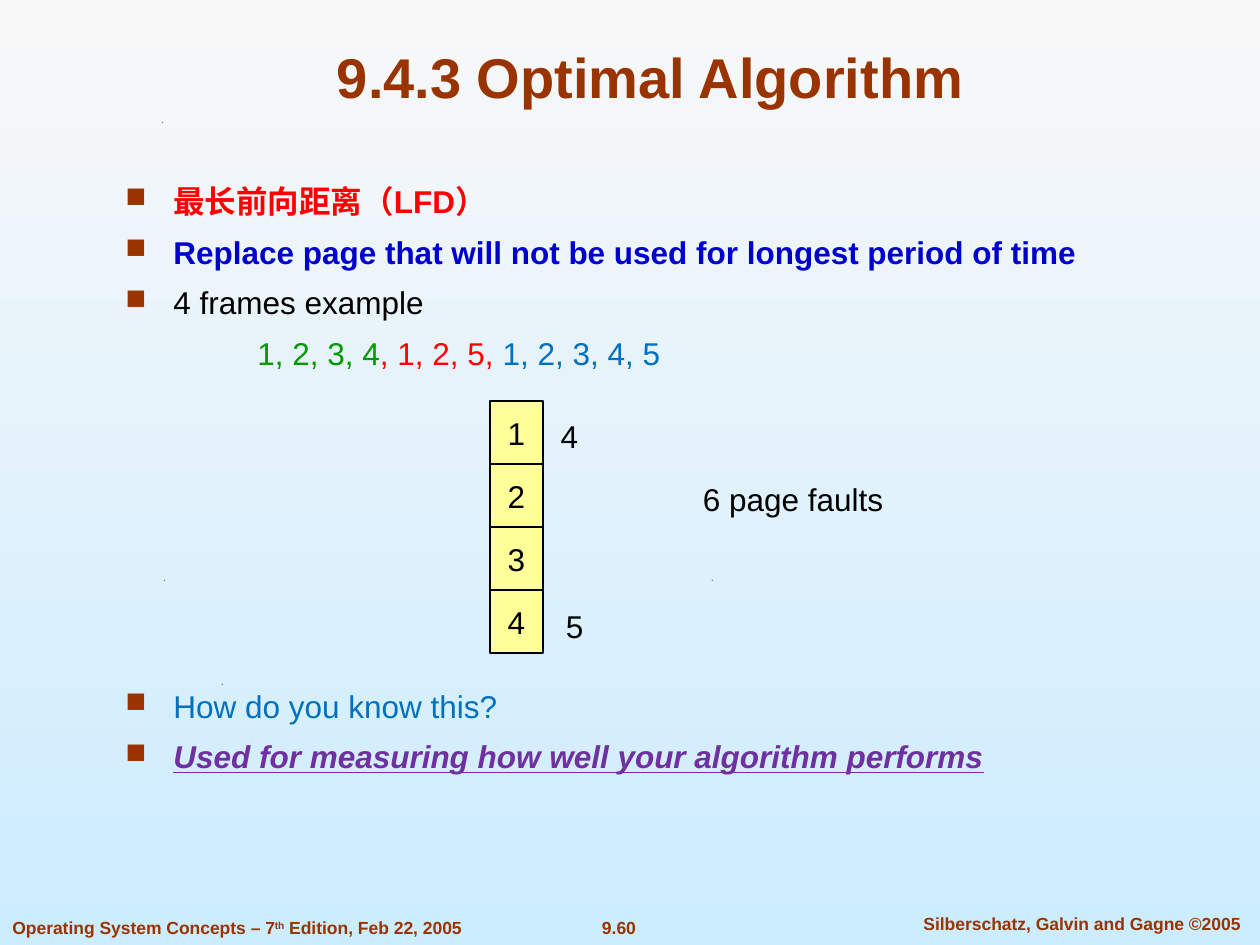
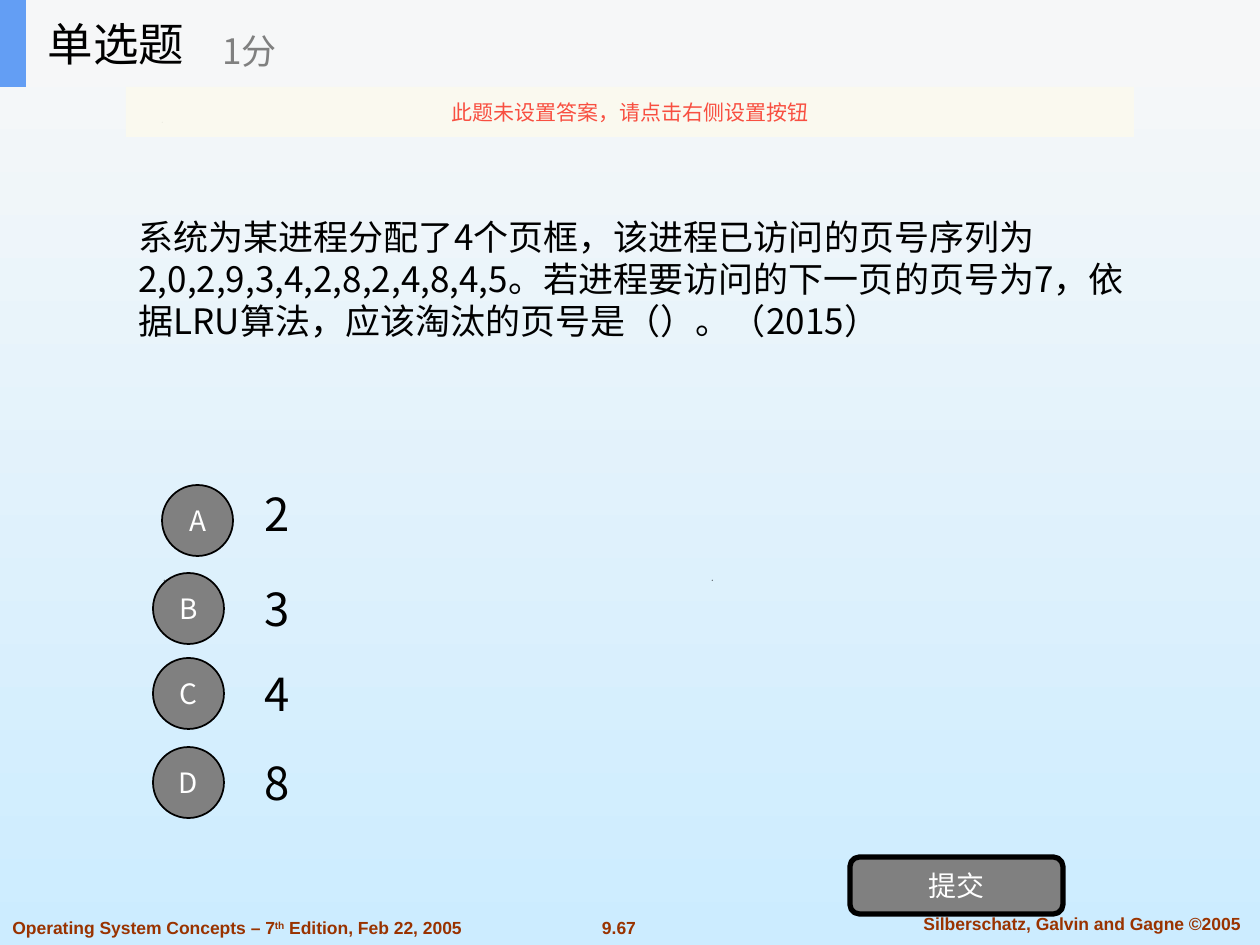
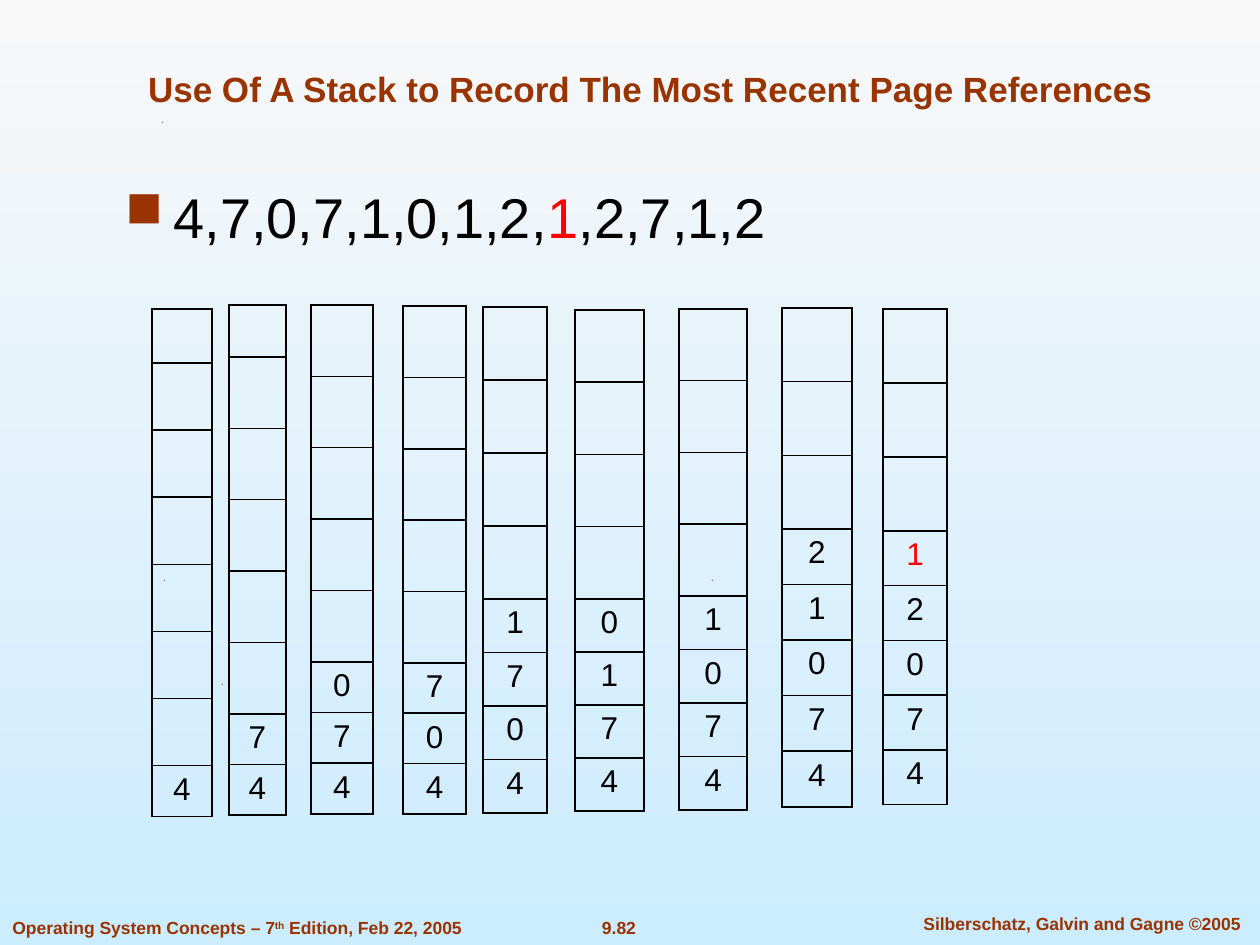
from dataclasses import dataclass, replace
from typing import NamedTuple

import pptx
import pptx.dml.color
import pptx.enum.dml
import pptx.enum.shapes
import pptx.enum.text
import pptx.oxml.ns
import pptx.util
from lxml import etree

PX_PER_INCH = 126
ALIGN = pptx.enum.text.PP_ALIGN
ANCHOR = pptx.enum.text.MSO_ANCHOR
SHAPE = pptx.enum.shapes.MSO_SHAPE
TITLE_ONLY = 5
qn = pptx.oxml.ns.qn


# --- Theme ---
@dataclass(frozen=True)
class Theme:
    sky_top: str = "F8F8F8"
    sky_bottom: str = "CCECFF"
    brown: str = "993300"
    black: str = "000000"
    white: str = "FFFFFF"
    red: str = "FF0000"
    navy: str = "0000CC"
    green: str = "009900"
    blue: str = "0070C0"
    purple: str = "7030A0"
    frame_yellow: str = "FFFF99"
    gray: str = "808080"
    header: str = "F6F7F8"
    header_tab: str = "639EF4"
    notice: str = "FBFAEF"
    notice_text: str = "F84F41"
    latin_font: str = "Arial"
    cjk_font: str = "Noto Sans CJK SC"
    footer_size: int = 10
    notice_size: int = 12
    button_size: int = 16
    body_size: int = 18
    question_size: int = 20
    quiz_size: int = 26
    title_size: int = 32


THEME = Theme()


class Box(NamedTuple):
    left: int
    top: int
    width: int
    height: int


@dataclass(frozen=True)
class Style:
    size: int = THEME.body_size
    color: str = THEME.black
    font: str = THEME.latin_font
    bold: bool = False
    italic: bool = False
    underline: bool = False


class Run(NamedTuple):
    text: str
    color: str | None = None
    baseline: int = 0


@dataclass(frozen=True)
class Line:
    runs: tuple[Run, ...]
    style: Style = Style()
    align: ALIGN = ALIGN.LEFT
    bullet: bool = False
    indent: int = 0
    space_before: float = 0


class Option(NamedTuple):
    letter: str
    answer: str
    badge_left: int
    badge_top: int
    answer_top: int


class Stack(NamedTuple):
    left: int
    top: int
    width: int
    filled_top: int
    bottom: int
    pages: str
    first_row: int = 0


TITLE = Style(THEME.title_size, THEME.brown, bold=True)
FOOTER = Style(THEME.footer_size, THEME.brown, bold=True)
QUIZ = Style(THEME.quiz_size, font=THEME.cjk_font)
BUTTON = Style(THEME.button_size, THEME.white, THEME.cjk_font)
TITLE_BOX = Box(94, 32, 1113, 84)
SPECKS = ((1, 222, 684), (1, 164, 580), (1, 712, 580), (1, 162, 122))


# --- Helpers ---
def px(length: float) -> int:
    return round(length * 914400 / PX_PER_INCH)


def emu(box: Box) -> tuple[int, ...]:
    return tuple(px(length) for length in box)


def rgb(color: str) -> pptx.dml.color.RGBColor:
    return pptx.dml.color.RGBColor.from_string(color)


def text_line(text: str, style: Style = Style(), align: ALIGN = ALIGN.LEFT) -> Line:
    return Line((Run(text),), style, align)


def bullet_line(*runs: Run, style: Style = Style(), space_before: float = 7.3) -> Line:
    return Line(runs, style, bullet=True, indent=48, space_before=space_before)


def add_bullet(properties, indent: int) -> None:
    properties.set("indent", str(-px(indent)))
    color = etree.SubElement(properties, qn("a:buClr"))
    etree.SubElement(color, qn("a:srgbClr"), val=THEME.brown)
    etree.SubElement(properties, qn("a:buSzPct"), val="90000")
    etree.SubElement(properties, qn("a:buChar"), char="■")


def write_line(paragraph, line: Line) -> None:
    paragraph.alignment = line.align
    if line.space_before:
        paragraph.space_before = pptx.util.Pt(line.space_before)
    properties = paragraph._p.get_or_add_pPr()
    if line.indent:
        properties.set("marL", str(px(line.indent)))
    if line.bullet:
        add_bullet(properties, line.indent)
    font, style = paragraph.font, line.style
    font.name, font.size = style.font, pptx.util.Pt(style.size)
    font.bold, font.italic, font.underline = style.bold, style.italic, style.underline
    font.color.rgb = rgb(style.color)
    etree.SubElement(font._rPr, qn("a:ea"), typeface=THEME.cjk_font)
    for part in line.runs:
        run = paragraph.add_run()
        run.text = part.text
        if part.color:
            run.font.color.rgb = rgb(part.color)
        if part.baseline:
            run.font._rPr.set("baseline", str(part.baseline * 1000))


def write(frame, lines: list[Line], anchor: ANCHOR = ANCHOR.TOP, wrap: bool = True) -> None:
    frame.word_wrap = wrap
    frame.auto_size = pptx.enum.text.MSO_AUTO_SIZE.NONE
    frame.vertical_anchor = anchor
    for index, line in enumerate(lines):
        write_line(frame.add_paragraph() if index else frame.paragraphs[0], line)


def add_text(slide, box: Box, *lines: Line, anchor: ANCHOR = ANCHOR.TOP, wrap: bool = True) -> None:
    write(slide.shapes.add_textbox(*emu(box)).text_frame, list(lines), anchor, wrap)


def paint(shape, fill: str, line_width: float = 0) -> None:
    shape.shadow.inherit = False
    shape.fill.solid()
    shape.fill.fore_color.rgb = rgb(fill)
    if line_width:
        shape.line.color.rgb = rgb(THEME.black)
        shape.line.width = pptx.util.Pt(line_width)
    else:
        shape.line.fill.background()


def add_block(slide, kind: SHAPE, box: Box, fill: str, line_width: float = 0,
              label: str = "", style: Style = Style()):
    block = slide.shapes.add_shape(kind, *emu(box))
    paint(block, fill, line_width)
    if label:
        write(block.text_frame, [text_line(label, style, ALIGN.CENTER)], ANCHOR.MIDDLE, wrap=False)
    return block


def set_title(slide, text: str, box: Box = TITLE_BOX, style: Style = TITLE,
              align: ALIGN = ALIGN.CENTER, anchor: ANCHOR = ANCHOR.BOTTOM) -> None:
    title = slide.shapes.title
    title.left, title.top, title.width, title.height = emu(box)
    write(title.text_frame, [text_line(text, style, align)], anchor)


# --- Shared slide parts ---
def set_background(deck) -> None:
    fill = deck.slide_master.background.fill
    fill.gradient()
    fill.gradient_angle = 270
    for stop, color in zip(fill.gradient_stops, (THEME.sky_top, THEME.sky_bottom)):
        stop.color.rgb = rgb(color)


def new_slide(deck, number: str):
    slide = deck.slides.add_slide(deck.slide_layouts[TITLE_ONLY])
    add_text(slide, Box(588, 911, 62, 34), text_line(number, FOOTER, ALIGN.CENTER), wrap=False)
    add_text(slide, Box(895, 907, 374, 34),
             text_line("Silberschatz, Galvin and Gagne ©2005", FOOTER, ALIGN.CENTER))
    edition = (Run("Operating System Concepts – 7"), Run("th", baseline=30),
               Run(" Edition, Feb 22, 2005"))
    add_text(slide, Box(0, 911, 476, 34), Line(edition, FOOTER))
    for size, left, top in SPECKS:
        outline = slide.shapes.build_freeform(px(left), px(top))
        outline.add_line_segments([(px(left + size), px(top)), (px(left), px(top + size))])
        paint(outline.convert_to_shape(), THEME.black)
    return slide


# --- Slide 1: optimal algorithm ---
def build_optimal(deck) -> None:
    slide = new_slide(deck, "9.60")
    set_title(slide, "9.4.3 Optimal Algorithm")
    references = (Run("1, 2, 3, 4", THEME.green), Run(", 1, 2, 5, ", THEME.red),
                  Run("1, 2, 3, 4, 5", THEME.blue))
    add_text(
        slide, Box(113, 176, 1013, 617),
        bullet_line(Run("最长前向距离（LFD）"), style=Style(color=THEME.red, bold=True)),
        bullet_line(Run("Replace page that will not be used for longest period of time"),
                    style=Style(color=THEME.navy, bold=True)),
        bullet_line(Run("4 frames example")),
        Line(references, indent=132, space_before=7.3),
        bullet_line(Run("How do you know this?"), style=Style(color=THEME.blue),
                    space_before=180),
        bullet_line(Run("Used for measuring how well your algorithm performs"),
                    style=Style(color=THEME.purple, bold=True, italic=True, underline=True)),
    )
    # Page frames, with the later pages beside them
    for row in range(4):
        add_block(slide, SHAPE.RECTANGLE, Box(490, 401 + 63 * row, 53, 63),
                  THEME.frame_yellow, 0.75, str(row + 1))
    for text, box in (("4", Box(548, 411, 43, 50)),
                      ("6 page faults", Box(653, 474, 280, 50)),
                      ("5", Box(553, 601, 43, 50))):
        add_text(slide, box, text_line(text, align=ALIGN.CENTER),
                 anchor=ANCHOR.MIDDLE, wrap=False)


# --- Slide 2: single-choice question ---
OPTIONS = (
    Option("A", "2", 162, 485, 469),
    Option("B", "3", 153, 573, 564),
    Option("C", "4", 153, 658, 649),
    Option("D", "8", 153, 747, 738),
)


def build_question(deck) -> None:
    slide = new_slide(deck, "9.67")
    question = ("系统为某进程分配了4个页框，该进程已访问的页号序列为2,0,2,9,3,4,2,8,2,4,8,4,5。"
                "若进程要访问的下一页的页号为7，依据LRU算法，应该淘汰的页号是（）。（2015）")
    add_text(slide, Box(126, 131, 1042, 295),
             text_line(question, replace(QUIZ, size=THEME.question_size)), anchor=ANCHOR.MIDDLE)
    for option in OPTIONS:
        add_text(slide, Box(252, option.answer_top, 882, 88),
                 text_line(option.answer, QUIZ), anchor=ANCHOR.MIDDLE)
        add_block(slide, SHAPE.OVAL, Box(option.badge_left, option.badge_top, 71, 71),
                  THEME.gray, 1, option.letter, BUTTON)
    add_block(slide, SHAPE.ROUNDED_RECTANGLE, Box(850, 857, 213, 57), THEME.gray, 3, "提交", BUTTON)

    # Header band, with the title brought in front of it
    add_block(slide, SHAPE.RECTANGLE, Box(0, 0, 1260, 87), THEME.header)
    add_block(slide, SHAPE.RECTANGLE, Box(0, 0, 26, 87), THEME.header_tab)
    set_title(slide, "单选题", Box(35, 0, 262, 87), QUIZ, ALIGN.LEFT, ANCHOR.MIDDLE)
    title = slide.shapes.title.element
    title.getparent().append(title)
    add_text(slide, Box(210, 15, 315, 71),
             text_line("1分", Style(THEME.question_size, THEME.gray, THEME.cjk_font)),
             anchor=ANCHOR.MIDDLE)
    notice = add_block(slide, SHAPE.RECTANGLE, Box(126, 87, 1008, 50), THEME.notice, 0,
                       "此题未设置答案，请点击右侧设置按钮",
                       Style(THEME.notice_size, THEME.notice_text, THEME.cjk_font))
    tint = notice.element.spPr.find(qn("a:solidFill")).find(qn("a:srgbClr"))
    etree.SubElement(tint, qn("a:alpha"), val="90000")


# --- Slide 3: stack of recent references ---
STACK_ROWS = 8
STACKS = (
    Stack(152, 309, 60, 766, 817, "4", first_row=54),
    Stack(229, 305, 57, 714, 815, "74", first_row=52),
    Stack(311, 305, 62, 662, 814, "074"),
    Stack(403, 306, 63, 663, 814, "704"),
    Stack(483, 307, 64, 599, 813, "1704"),
    Stack(575, 310, 69, 599, 811, "0174"),
    Stack(679, 309, 68, 596, 810, "1074"),
    Stack(782, 308, 70, 529, 807, "21074"),
    Stack(883, 309, 64, 531, 805, "12074"),
)


def row_heights(stack: Stack) -> list[float]:
    filled = len(stack.pages)
    first = [stack.first_row] if stack.first_row else []
    empty = STACK_ROWS - filled - len(first)
    empty_height = (stack.filled_top - stack.top - sum(first)) / empty
    return first + [empty_height] * empty + [(stack.bottom - stack.filled_top) / filled] * filled


def add_borders(cell) -> None:
    properties = cell._tc.get_or_add_tcPr()
    for index, side in enumerate(("lnL", "lnR", "lnT", "lnB")):
        border = etree.Element(qn(f"a:{side}"), w=str(pptx.util.Pt(1)))
        fill = etree.SubElement(border, qn("a:solidFill"))
        etree.SubElement(fill, qn("a:srgbClr"), val=THEME.black)
        properties.insert(index, border)


def add_stack(slide, stack: Stack, newest_color: str) -> None:
    box = Box(stack.left, stack.top, stack.width, stack.bottom - stack.top)
    table = slide.shapes.add_table(STACK_ROWS, 1, *emu(box)).table
    table.first_row = table.horz_banding = False
    for row, height in enumerate(row_heights(stack)):
        table.rows[row].height = px(height)
        cell = table.cell(row, 0)
        cell.fill.background()
        add_borders(cell)
        place = row - STACK_ROWS + len(stack.pages)
        if place >= 0:
            style = Style(color=THEME.black if place else newest_color)
            write_line(cell.text_frame.paragraphs[0],
                       text_line(stack.pages[place], style, ALIGN.CENTER))


def build_stacks(deck) -> None:
    slide = new_slide(deck, "9.82")
    set_title(slide, "Use Of A Stack to Record The Most Recent Page References",
              style=replace(TITLE, size=THEME.question_size))
    add_text(slide, Box(113, 176, 1013, 92),
             bullet_line(Run("4,7,0,7,1,0,1,2,"), Run("1", THEME.red), Run(",2,7,1,2"),
                         style=Style(THEME.title_size)))
    for stack in STACKS:
        add_stack(slide, stack, THEME.red if stack is STACKS[-1] else THEME.black)


def main() -> None:
    deck = pptx.Presentation()
    deck.slide_width, deck.slide_height = px(1260), px(945)
    set_background(deck)
    build_optimal(deck)
    build_question(deck)
    build_stacks(deck)
    deck.save("out.pptx")


if __name__ == "__main__":
    main()
